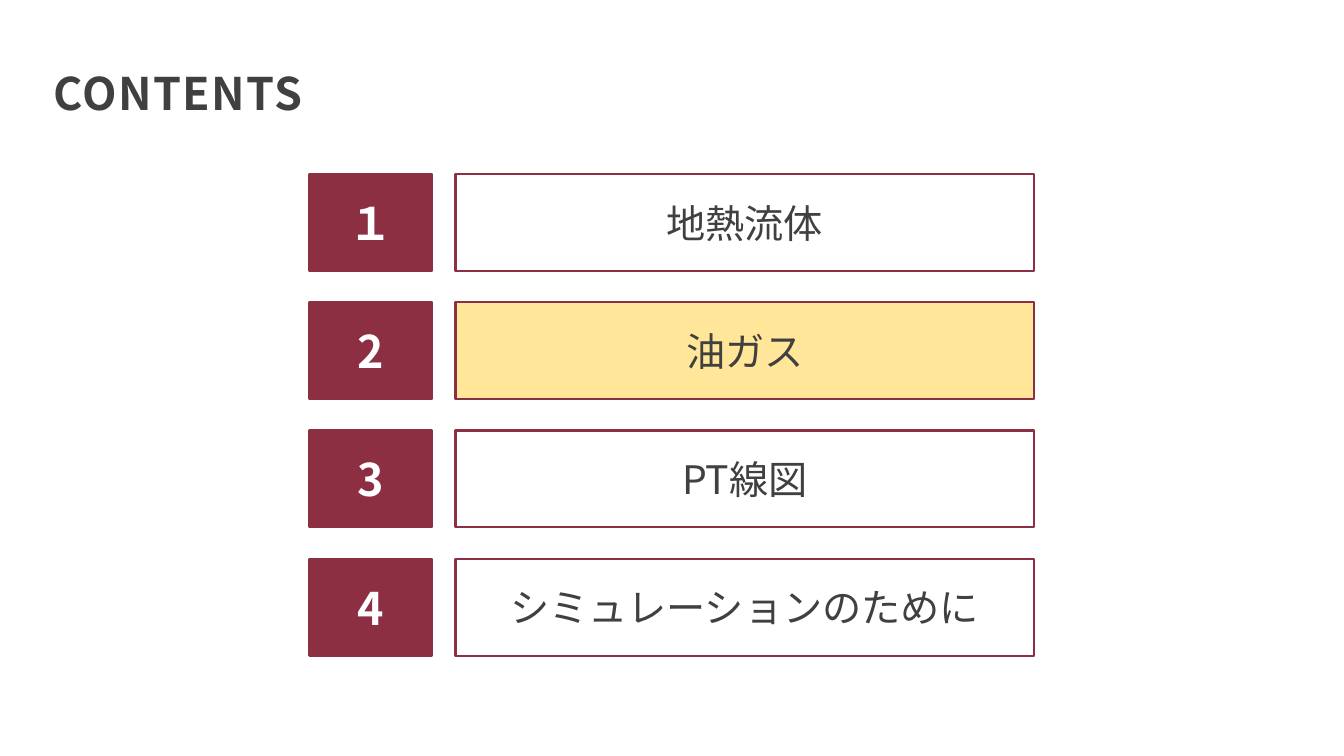
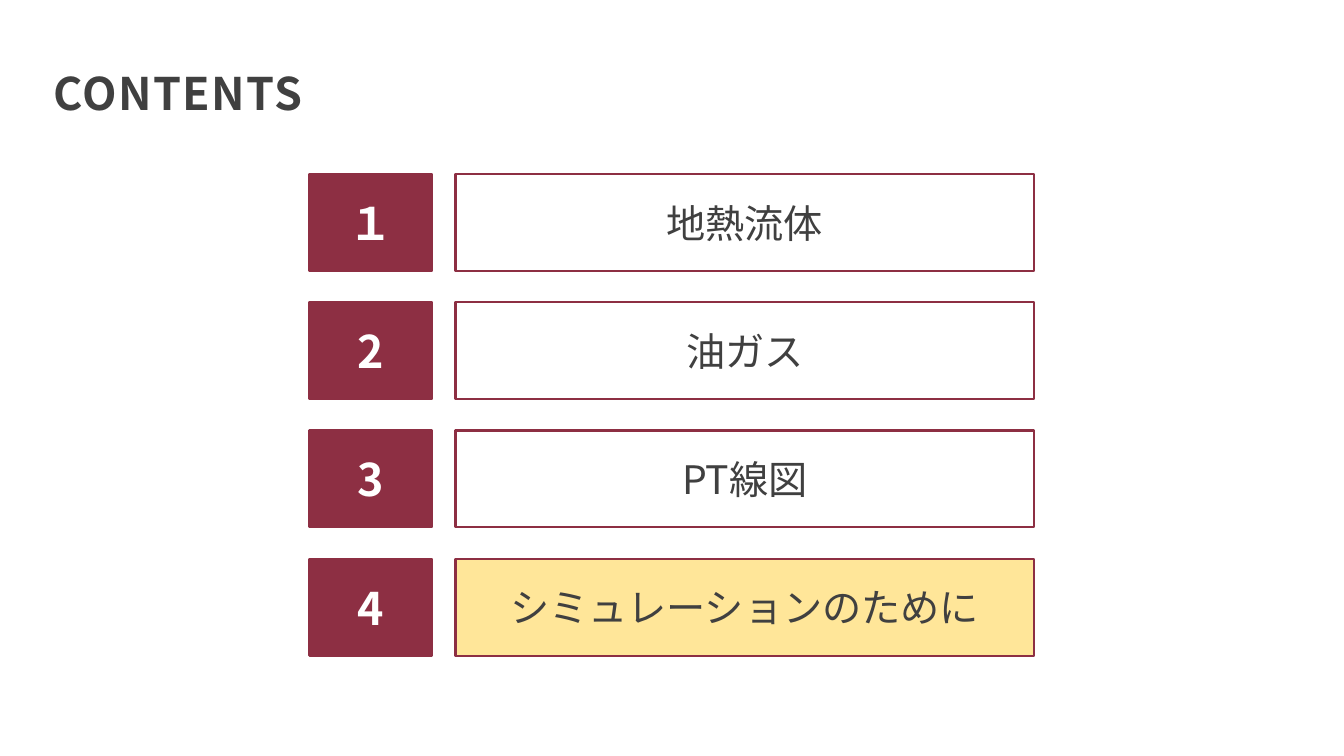
"""Build two agenda slides, each highlighting the section that comes next."""
from dataclasses import dataclass
from typing import Any, Optional

from lxml.etree import SubElement
from pptx import Presentation
from pptx.dml.color import RGBColor
from pptx.enum.shapes import MSO_SHAPE
from pptx.enum.text import MSO_ANCHOR, PP_ALIGN
from pptx.oxml.ns import qn
from pptx.util import Cm, Pt


@dataclass(frozen=True)
class Theme:
    font: str = "Noto Sans CJK JP"
    wine: RGBColor = RGBColor(0x8D, 0x2F, 0x43)
    yellow: RGBColor = RGBColor(0xFF, 0xE6, 0x99)
    white: RGBColor = RGBColor(0xFF, 0xFF, 0xFF)
    grey: RGBColor = RGBColor(0x40, 0x40, 0x40)
    title_size: Pt = Pt(32)
    number_size: Pt = Pt(32)
    label_size: Pt = Pt(28)
    line_width: Pt = Pt(1.5)
    title_spacing: int = 100


@dataclass(frozen=True)
class Section:
    number: str
    label: str


@dataclass(frozen=True)
class Column:
    shape: MSO_SHAPE
    left: Cm
    width: Cm


THEME = Theme()
SECTIONS = (
    Section("１", "地熱流体"),
    Section("2", "油ガス"),
    Section("3", "PT線図"),
    Section("4", "シミュレーションのために"),
)
HIGHLIGHTS = ("2", "4")
NUMBER_COL = Column(MSO_SHAPE.RECTANGLE, Cm(7.8), Cm(3.1))
LABEL_COL = Column(MSO_SHAPE.ROUNDED_RECTANGLE, Cm(11.48), Cm(14.58))
ROW_TOP, ROW_HEIGHT, ROW_PITCH = Cm(4.39), Cm(2.44), Cm(3.23)

TITLE_FONT = {"size": THEME.title_size, "bold": True}
NUMBER_FONT = {"size": THEME.number_size, "bold": True}
LABEL_FONT = {"size": THEME.label_size, "bold": False}
TITLE_FRAME = {
    "word_wrap": True, "vertical_anchor": MSO_ANCHOR.BOTTOM,
    "margin_left": 0, "margin_top": 0, "margin_right": 0, "margin_bottom": 0,
}
BOX_FRAME = {"word_wrap": True, "vertical_anchor": MSO_ANCHOR.MIDDLE}


def set_attrs(obj: Any, values: dict[str, Any]) -> None:
    for name, value in values.items():
        setattr(obj, name, value)


def write(sp: Any, text: str, font: dict[str, Any], color: RGBColor,
          frame: dict[str, Any], para: dict[str, Any]) -> Any:
    tf = sp.text_frame
    set_attrs(tf, frame)
    p = tf.paragraphs[0]
    set_attrs(p, para)
    r = p.add_run()
    r.text = text
    set_attrs(r.font, {"name": THEME.font, **font})
    r.font.color.rgb = color
    rpr = r.font._element
    rpr.set("lang", "ja-JP")
    SubElement(rpr, qn("a:ea")).set("typeface", THEME.font)
    return r


def add_title(s: Any, text: str) -> None:
    sp = s.shapes.add_textbox(Cm(1.35), Cm(1.75), Cm(31.14), Cm(1.27))
    r = write(sp, text, TITLE_FONT, THEME.grey, TITLE_FRAME, {"line_spacing": 0.9})
    r.font._element.set("spc", str(THEME.title_spacing))


def add_box(shapes: Any, col: Column, top: int, text: str, font: dict[str, Any],
            color: RGBColor, fill: Optional[RGBColor]) -> None:
    sp = shapes.add_shape(col.shape, col.left, top, col.width, ROW_HEIGHT)
    sp.shadow.inherit = False
    if len(sp.adjustments):
        sp.adjustments[0] = 0
    if fill is None:
        sp.fill.background()
    else:
        sp.fill.solid()
        sp.fill.fore_color.rgb = fill
    sp.line.color.rgb = THEME.wine
    sp.line.width = THEME.line_width
    write(sp, text, font, color, BOX_FRAME, {"alignment": PP_ALIGN.CENTER})


def add_agenda(prs: Any, current: str) -> None:
    s = prs.slides.add_slide(prs.slide_layouts[6])
    add_title(s, "CONTENTS")
    for i, section in enumerate(SECTIONS):
        top = ROW_TOP + i * ROW_PITCH
        shapes = s.shapes.add_group_shape().shapes
        fill = THEME.yellow if section.number == current else None
        add_box(shapes, NUMBER_COL, top, section.number, NUMBER_FONT, THEME.white, THEME.wine)
        add_box(shapes, LABEL_COL, top, section.label, LABEL_FONT, THEME.grey, fill)


def main() -> None:
    prs = Presentation()
    set_attrs(prs, {"slide_width": Cm(33.87), "slide_height": Cm(19.05)})
    for current in HIGHLIGHTS:
        add_agenda(prs, current)
    prs.save("out.pptx")


if __name__ == "__main__":
    main()
